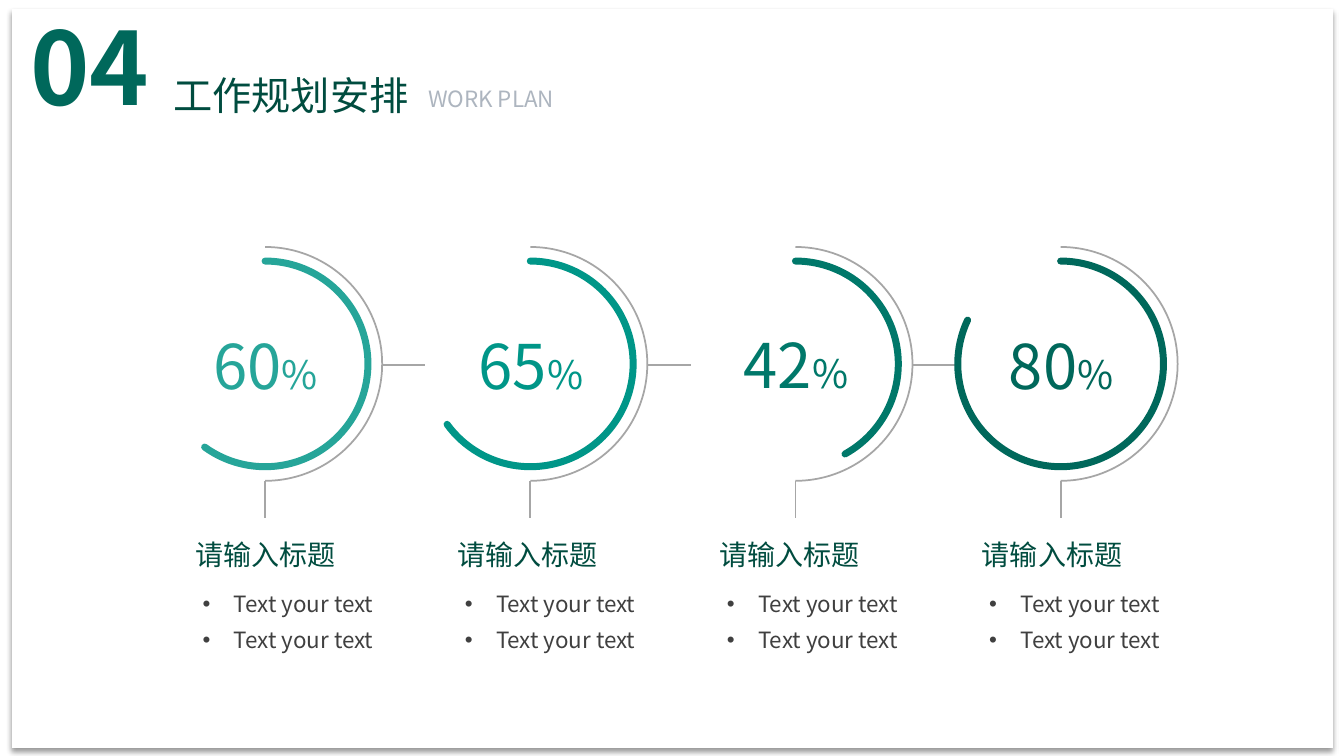
from lxml import etree
from pptx import Presentation, util as u
from pptx.dml.color import RGBColor
from pptx.enum import shapes, text
from pptx.oxml import parse_xml
from pptx.oxml.ns import nsdecls, qn

THEME = {
    "font": "Noto Sans CJK SC",
    "white": "FFFFFF", "rule": "A6A6A6", "dark": "004C3F", "body": "404040",
    "muted": "ADB5BF", "number": "00685B",
    "dials": ["26A599", "009688", "00786A", "00685B"],
    "number_size": 72, "title_size": 28, "rate_size": 44, "percent_size": 28,
    "heading_size": 20, "body_size": 16,
    "rule_width": 1.25, "dial_width": 5,
}
LEFT, CENTER = text.PP_ALIGN.LEFT, text.PP_ALIGN.CENTER


def write(box, area, paragraphs, align=LEFT):
    box.left, box.top, box.width, box.height = map(u.Inches, area)
    frame = box.text_frame
    frame_format = {"word_wrap": True, "auto_size": text.MSO_AUTO_SIZE.NONE,
                    "vertical_anchor": text.MSO_ANCHOR.TOP}
    for name, value in frame_format.items():
        setattr(frame, name, value)
    for index, spans in enumerate(paragraphs):
        para = frame.add_paragraph() if index else frame.paragraphs[0]
        para.alignment = align
        for content, size, color, bold in spans:
            span = para.add_run()
            span.text = content
            span_format = {"name": THEME["font"], "size": u.Pt(size), "bold": bold}
            for name, value in span_format.items():
                setattr(span.font, name, value)
            span.font.color.rgb = RGBColor.from_string(color)
            east_asian = etree.SubElement(span.font._element, qn("a:ea"))
            east_asian.set("typeface", THEME["font"])
    return frame


def draw(kind, center_x, center_y, width, height, fill=None, line=None, weight=1):
    shape = slide.shapes.add_shape(
        kind, u.Inches(center_x - width / 2), u.Inches(center_y - height / 2),
        u.Inches(width), u.Inches(height))
    shape.shadow.inherit = False
    if fill:
        shape.fill.solid()
        shape.fill.fore_color.rgb = RGBColor.from_string(fill)
    else:
        shape.fill.background()
    if line:
        shape.line.color.rgb = RGBColor.from_string(line)
        shape.line.width = u.Pt(weight)
    else:
        shape.line.fill.background()
    return shape


deck = Presentation()
deck.slide_width, deck.slide_height = u.Inches(13.33), u.Inches(7.5)
slide = deck.slides.add_slide(deck.slide_layouts.get_by_name("Comparison"))
title = slide.shapes.title
lists = [slide.placeholders[index] for index in (1, 2, 3, 4)]
for footer in list(slide.placeholders)[5:]:
    footer._element.getparent().remove(footer._element)

card = draw(shapes.MSO_SHAPE.RECTANGLE, 6.67, 3.755, 13.1, 7.33, THEME["white"])
effects = card._element.spPr.find(qn("a:effectLst"))
effects.append(parse_xml(
    f'<a:outerShdw {nsdecls("a")} blurRad="{u.Pt(4)}" dist="{u.Pt(3)}" dir="5400000" '
    'algn="t" rotWithShape="0"><a:srgbClr val="000000"><a:alpha val="40000"/>'
    '</a:srgbClr></a:outerShdw>'))
slide.shapes._spTree.insert(2, card._element)

number = slide.shapes.add_textbox(0, 0, 0, 0)
write(number, (0.2, 0, 1.61, 1.31), [[("04", THEME["number_size"], THEME["number"], True)]])
write(title, (1.62, 0.66, 2.56, 0.57),
      [[("工作规划安排", THEME["title_size"], THEME["dark"], False)]])
subtitle = slide.shapes.add_textbox(0, 0, 0, 0)
write(subtitle, (4.15, 0.8, 3.36, 0.37),
      [[("WORK PLAN", THEME["body_size"], THEME["muted"], False)]])

DIAL_X, DIAL_Y, DIAL_STEP, LABEL_STEP = 2.63, 3.61, 2.63, 2.6
RIM = 1.16
dials = [("60", 60), ("65", 65), ("42", 42), ("80", 82)]

for column, (rate, sweep) in enumerate(dials):
    color = THEME["dials"][column]
    x = DIAL_X + column * DIAL_STEP
    draw(shapes.MSO_SHAPE.OVAL, x, DIAL_Y, 1.89, 1.89, THEME["white"])

    rules = [(x, DIAL_Y + RIM, x, 5.14)]
    if column < len(dials) - 1:
        rules.append((x + RIM, 3.62, x + RIM + 0.43, 3.62))
    for ends in rules:
        rule = slide.shapes.add_connector(shapes.MSO_CONNECTOR.STRAIGHT, *map(u.Inches, ends))
        rule.line.color.rgb = RGBColor.from_string(THEME["rule"])
        rule.line.width = u.Pt(THEME["rule_width"])
        etree.SubElement(rule._element.spPr, qn("a:effectLst"))

    arcs = [(2.04, sweep, color, THEME["dial_width"], "rnd"),
            (2 * RIM, 50, THEME["rule"], THEME["rule_width"], "flat")]
    for size, share, line, weight, cap in arcs:
        arc = draw(shapes.MSO_SHAPE.ARC, x, DIAL_Y, size, size, line=line, weight=weight)
        arc.adjustments[0] = 270 * 0.6
        arc.adjustments[1] = (270 + share * 3.6) % 360 * 0.6
        arc.line._get_or_add_ln().set("cap", cap)

    value = slide.shapes.add_textbox(0, 0, 0, 0)
    write(value, (x - 0.7, 3.19 if rate == "42" else 3.2, 1.41, 0.84),
          [[(rate, THEME["rate_size"], color, False),
            ("%", THEME["percent_size"], color, False)]], CENTER)

    label_x = 1.56 + column * LABEL_STEP
    heading = slide.shapes.add_textbox(0, 0, 0, 0)
    write(heading, (label_x, 5.28, 2.15, 0.44),
          [[("请输入标题", THEME["heading_size"], THEME["dark"], False)]], CENTER)
    item = [("Text your text", THEME["body_size"], THEME["body"], False)]
    frame = write(lists[column], (label_x + 0.35, 5.71, 1.99, 0.81), [item, item])
    for para in frame.paragraphs:
        para_format = {"line_spacing": u.Pt(26), "space_before": u.Pt(0)}
        for name, amount in para_format.items():
            setattr(para, name, amount)
        properties = para._element.get_or_add_pPr()
        properties.set("marL", str(u.Inches(0.31)))
        properties.set("indent", str(u.Inches(-0.31)))
        etree.SubElement(properties, qn("a:buFont")).set("typeface", "Arial")
        etree.SubElement(properties, qn("a:buChar")).set("char", "•")

deck.save("out.pptx")
